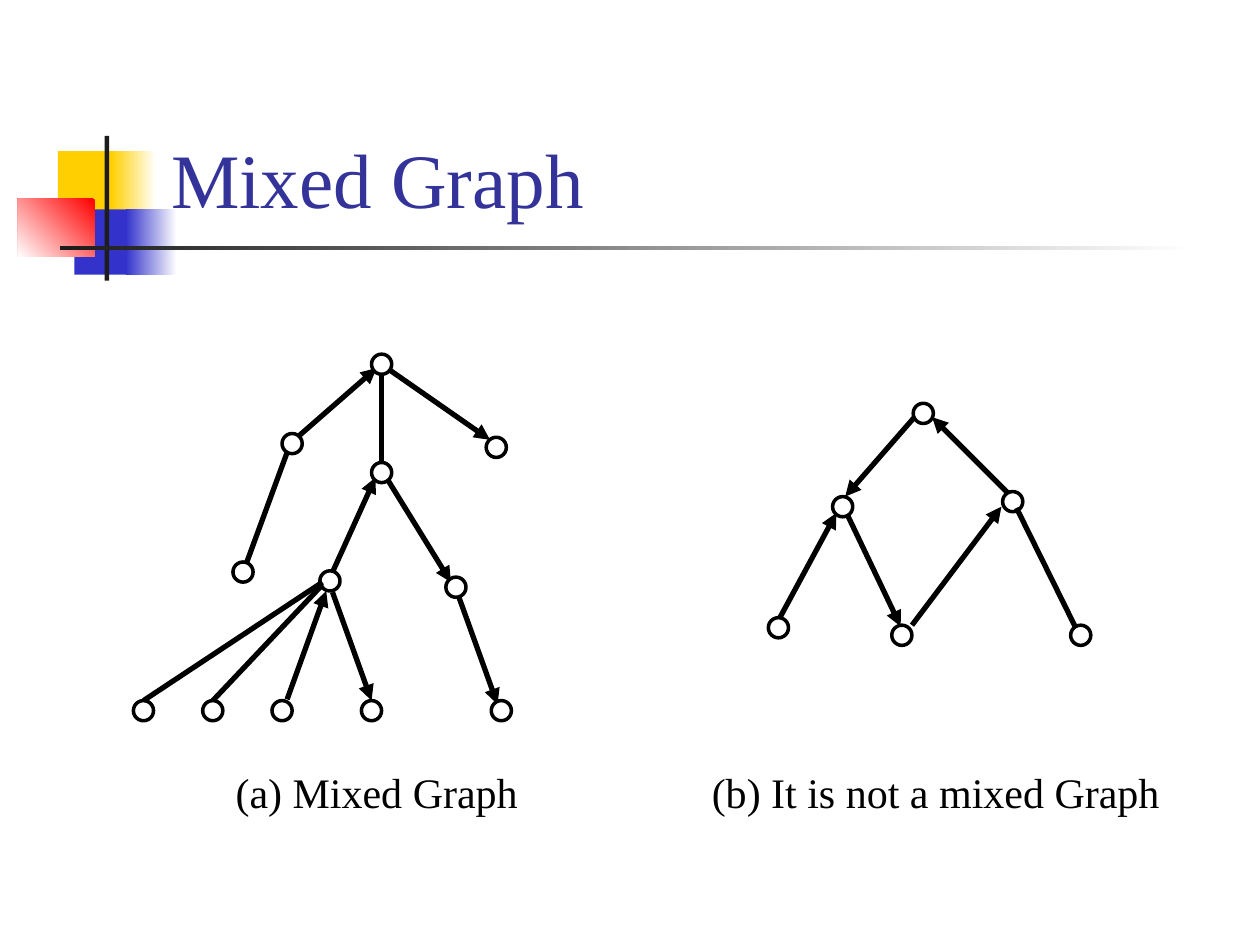
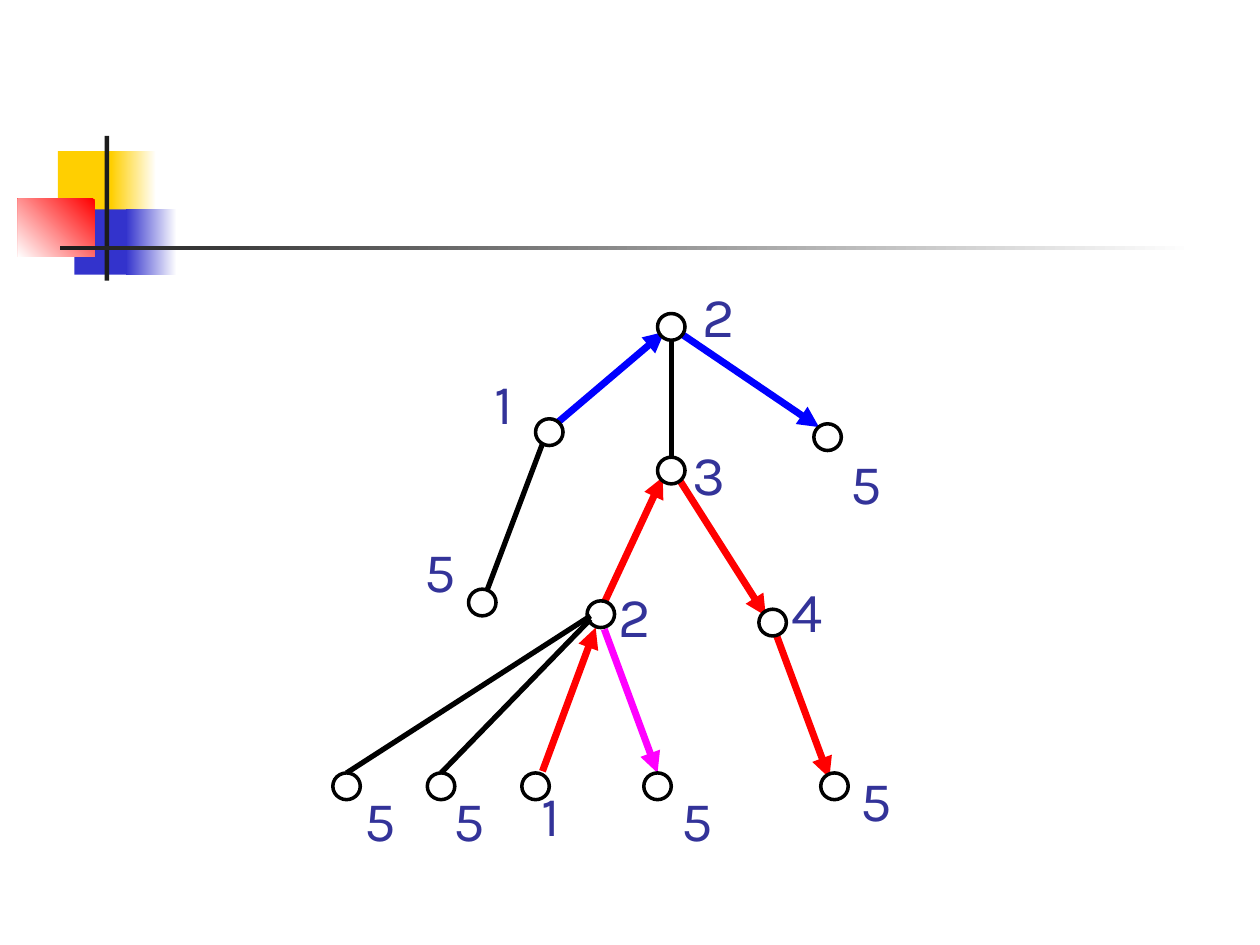
from dataclasses import dataclass

from lxml.etree import SubElement
from pptx import Presentation
from pptx.dml.color import RGBColor
from pptx.enum.shapes import MSO_CONNECTOR as Connector, MSO_SHAPE as Shape
from pptx.enum.text import MSO_ANCHOR as Anchor
from pptx.oxml.ns import qn
from pptx.util import Cm, Pt


@dataclass(frozen=True)
class Theme:
    white: str = "FFFFFF"
    black: str = "000000"
    ink: str = "1C1C1C"
    title: str = "333399"
    yellow: str = "FFCF01"
    blue: str = "3333CC"
    red: str = "FF0000"
    route_blue: str = "0000FF"
    route_pink: str = "FF00FF"
    serif: str = "Times New Roman"
    sans: str = "Karla"
    title_size: int = 44
    caption_size: int = 24
    label_size: int = 32
    node_line: int = 2
    edge_line: int = 3
    route_line: int = 4


THEME = Theme()


@dataclass(frozen=True)
class Box:
    left: float
    top: float
    width: float
    height: float

    def lengths(self):
        return Cm(self.left), Cm(self.top), Cm(self.width), Cm(self.height)

    def inner(self, left, top, width, height):
        return Box(self.left + left, self.top + top, width, height)


@dataclass(frozen=True)
class Edge:
    start: tuple
    end: tuple
    arrow: bool = True
    route: str = THEME.black
    in_front: bool = False


@dataclass(frozen=True)
class Graph:
    width: int
    height: int
    nodes: tuple
    edges: tuple

    def place(self, box, point):
        x, y = point
        return (box.left + x * box.width / self.width,
                box.top + y * box.height / self.height)


NODE_SIZE = 16
LEAF_ROW = tuple((x, 283) for x in (8, 63, 118, 189, 292))
TREE = Graph(
    300, 291,
    ((197, 8), (126, 71), (288, 74), (197, 94), (87, 173), (156, 180), (256, 185)) + LEAF_ROW,
    (
        Edge((197, 15), (197, 86), arrow=False),
        Edge((122, 78), (90, 165), arrow=False),
        Edge((130, 66), (193, 11), route=THEME.route_blue),
        Edge((204, 13), (283, 68), route=THEME.route_blue),
        Edge((158, 173), (192, 98), route=THEME.red),
        Edge((122, 274), (153, 188), route=THEME.red),
        Edge((202, 100), (252, 181), route=THEME.red),
        Edge((258, 192), (289, 278), route=THEME.red),
        Edge((158, 189), (189, 275), route=THEME.route_pink),
        Edge((8, 275), (150, 181), arrow=False, in_front=True),
        Edge((63, 275), (150, 183), arrow=False, in_front=True),
    ),
)
DIAMOND = Graph(
    256, 192,
    ((123, 8), (59, 82), (194, 78), (248, 184), (106, 184), (8, 178)),
    (
        Edge((116, 11), (61, 74)),
        Edge((193, 74), (130, 11)),
        Edge((7, 174), (54, 87)),
        Edge((63, 89), (105, 177)),
        Edge((114, 176), (185, 82), in_front=True),
        Edge((197, 83), (244, 178), arrow=False, in_front=True),
    ),
)
TREE_LABELS = (
    ("1", (114, 276)), ("2", (159, 157)), ("3", (202, 72)), ("4", (260, 154)),
    ("5", (300, 267)), ("5", (196, 279)), ("5", (63, 279)), ("5", (11, 279)),
    ("5", (294, 77)), ("2", (208, -23)), ("1", (87, 29)), ("5", (46, 130)),
)


def color(value):
    return RGBColor.from_string(value)


def add_text(page, box, text, font, size, text_color, anchor=Anchor.TOP):
    frame = page.shapes.add_textbox(*box.lengths()).text_frame
    frame.word_wrap = True
    frame.vertical_anchor = anchor
    frame.text = text
    span = frame.paragraphs[0].runs[0]
    span.font.name = font
    span.font.size = Pt(size)
    span.font.color.rgb = color(text_color)


def add_block(page, box, fill, fade_to=None, angle=180):
    block = page.shapes.add_shape(Shape.RECTANGLE, *box.lengths())
    block.shadow.inherit = False
    block.line.fill.background()
    if fade_to is None:
        block.fill.solid()
        block.fill.fore_color.rgb = color(fill)
        return
    block.fill.gradient()
    block.fill.gradient_angle = angle
    for stop, value in zip(block.fill.gradient_stops, (fill, fade_to)):
        stop.color.rgb = color(value)


def add_emblem(page, box):
    for fill, left, fade_left, top, width, fade_width in (
        (THEME.yellow, 0.81, 1.88, 0.31, 1.22, 0.91),
        (THEME.blue, 1.14, 2.18, 1.48, 1.17, 1.02),
    ):
        add_block(page, box.inner(left, top, width, 1.32), fill)
        add_block(page, box.inner(fade_left, top, fade_width, 1.32), THEME.white, fill)
    add_block(page, box.inner(0, 1.27, 1.55, 1.17), THEME.red, THEME.white, 225)
    add_block(page, box.inner(1.75, 0, 0.09, box.height), THEME.ink)
    add_block(page, box.inner(0.86, 2.21, box.width - 0.86, 0.09), THEME.white, THEME.ink)


def add_edge(page, box, graph, edge, show_routes):
    ends = graph.place(box, edge.start) + graph.place(box, edge.end)
    line = page.shapes.add_connector(Connector.STRAIGHT, *map(Cm, ends))
    on_route = show_routes and edge.route != THEME.black
    line.line.color.rgb = color(edge.route if on_route else THEME.black)
    line.line.width = Pt(THEME.route_line if on_route else THEME.edge_line)
    properties = line.element.spPr
    if edge.arrow:
        SubElement(properties.find(qn("a:ln")), qn("a:tailEnd"), type="triangle")
    SubElement(properties, qn("a:effectLst"))


def add_node(page, box, graph, center):
    x, y = center
    left, top = graph.place(box, (x - NODE_SIZE / 2, y - NODE_SIZE / 2))
    right, bottom = graph.place(box, (x + NODE_SIZE / 2, y + NODE_SIZE / 2))
    circle_box = Box(left, top, right - left, bottom - top)
    node = page.shapes.add_shape(Shape.OVAL, *circle_box.lengths())
    node.shadow.inherit = False
    node.fill.solid()
    node.fill.fore_color.rgb = color(THEME.white)
    node.line.color.rgb = color(THEME.black)
    node.line.width = Pt(THEME.node_line)


def add_graph(page, box, graph, show_routes=False):
    for edge in graph.edges:
        if not edge.in_front:
            add_edge(page, box, graph, edge, show_routes)
    for center in graph.nodes:
        add_node(page, box, graph, center)
    for edge in graph.edges:
        if edge.in_front:
            add_edge(page, box, graph, edge, show_routes)


def add_labels(page, box, graph, labels):
    for text, corner in labels:
        label_box = Box(*graph.place(box, corner), 1.19, 1.63)
        add_text(page, label_box, text, THEME.sans, THEME.label_size, THEME.title)


def add_page(deck):
    page = deck.slides.add_slide(deck.slide_layouts[6])
    add_emblem(page, Box(0.36, 2.74, 23.72, 2.92))
    return page


def add_comparison_page(deck):
    page = add_page(deck)
    add_text(page, Box(3.2, 0.58, 21.64, 4.06), "Mixed Graph",
             THEME.serif, THEME.title_size, THEME.title, Anchor.BOTTOM)
    for graph, graph_box, caption, left, width in (
        (TREE, Box(2.69, 7.14, 7.62, 7.39), "(a) Mixed Graph", 4.5, 7.01),
        (DIAMOND, Box(15.49, 8.13, 6.5, 4.88), "(b) It is not a mixed Graph", 14.1, 9.6),
    ):
        add_graph(page, graph_box, graph)
        add_text(page, Box(left, 15.32, width, 1.27), caption,
                 THEME.serif, THEME.caption_size, THEME.black)


def add_labelled_tree_page(deck):
    page = add_page(deck)
    tree_box = Box(6.71, 6.32, 10.39, 9.8)
    add_graph(page, tree_box, TREE, show_routes=True)
    add_labels(page, tree_box, TREE, TREE_LABELS)


def main():
    deck = Presentation()
    deck.slide_width, deck.slide_height = Cm(25.4), Cm(19.05)
    add_comparison_page(deck)
    add_labelled_tree_page(deck)
    deck.save("out.pptx")


if __name__ == "__main__":
    main()
